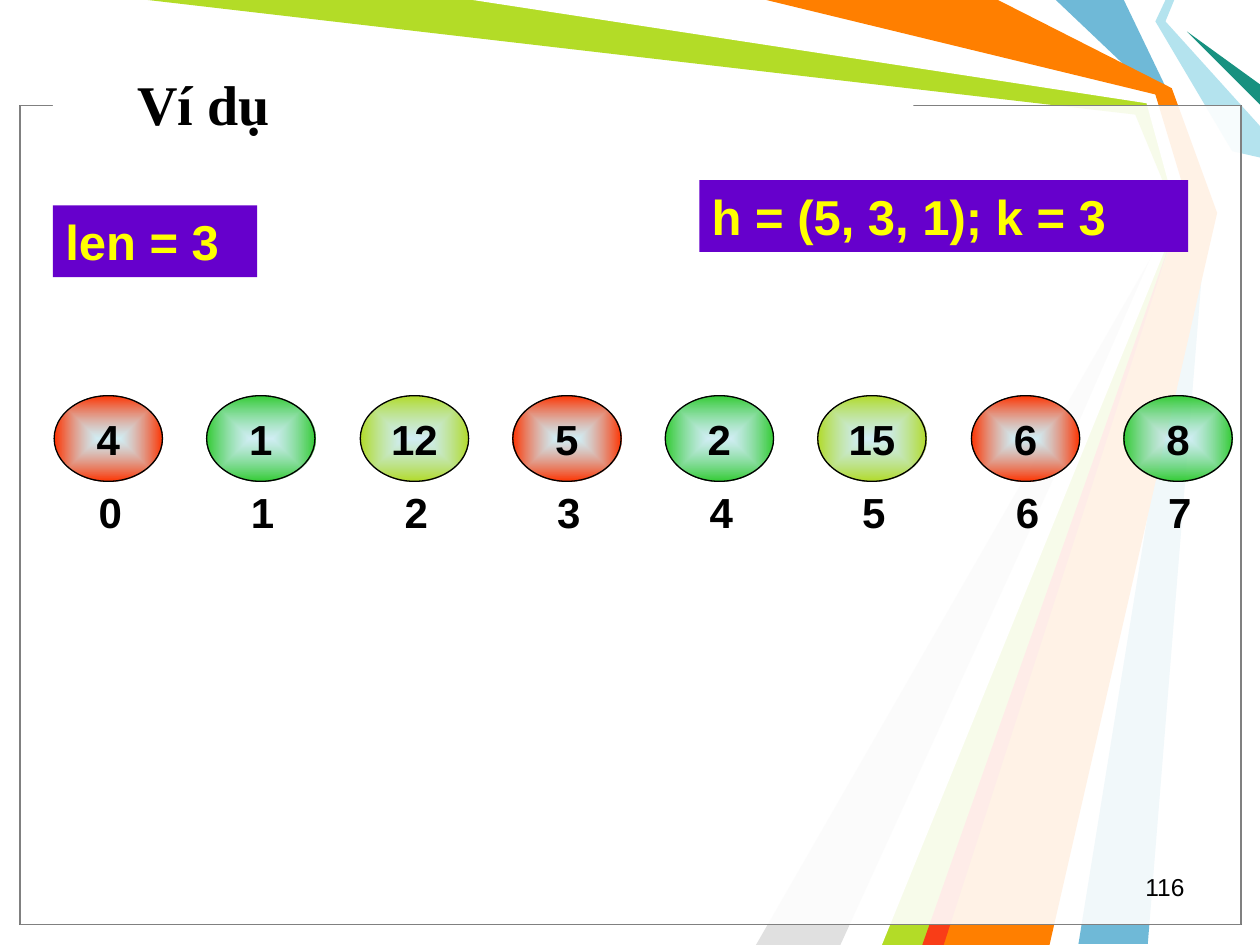
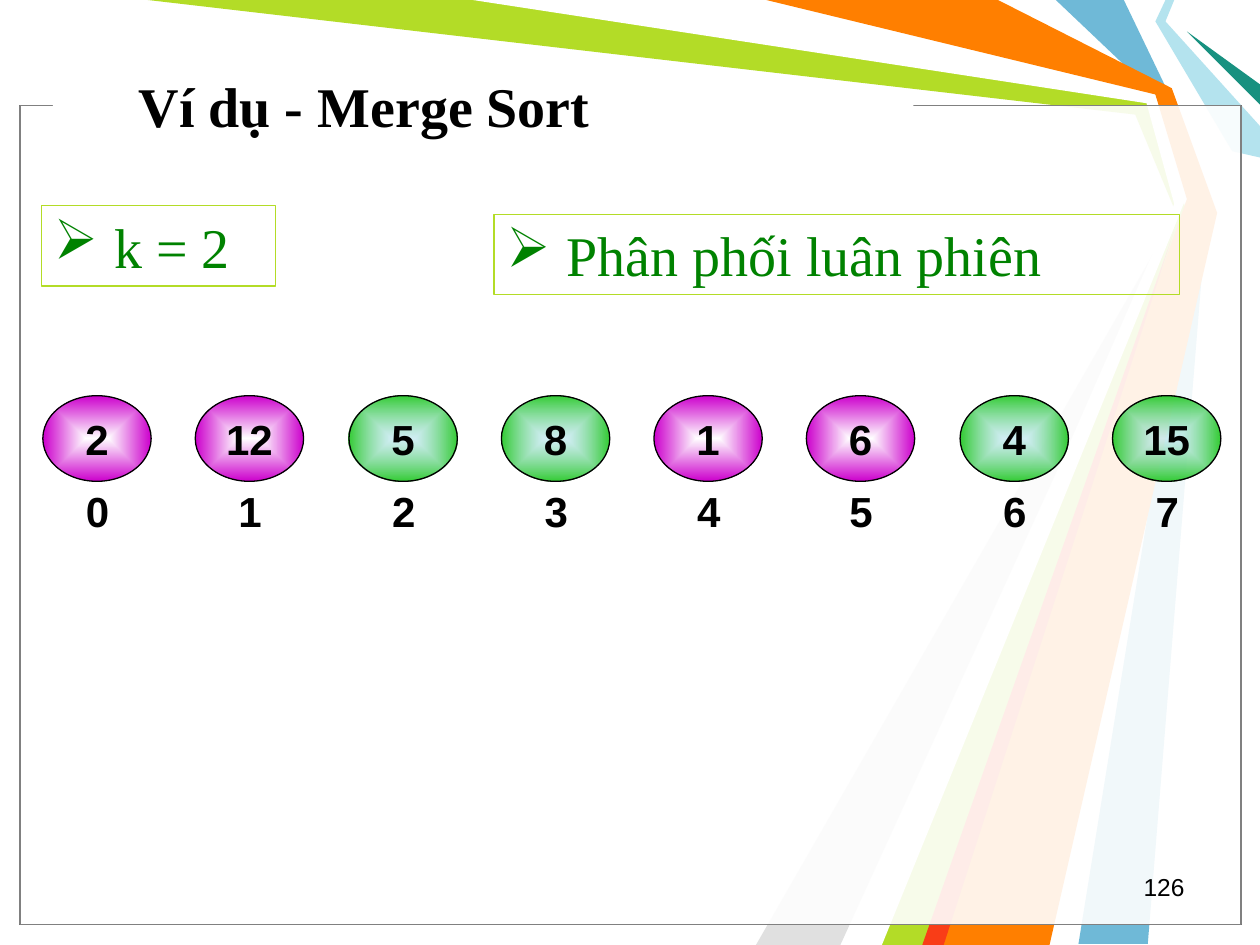
"""Build two sorting example slides over a shared ribbon backdrop."""
from dataclasses import dataclass
from typing import NamedTuple, Optional

from pptx import Presentation
from pptx.dml.color import RGBColor as RGB
from pptx.enum.shapes import MSO_SHAPE as SHAPE
from pptx.enum.text import MSO_ANCHOR as ANCHOR, PP_ALIGN as ALIGN
from pptx.oxml import parse_xml
from pptx.oxml.ns import nsdecls, qn
from pptx.util import Pt

PX = 9144
SLIDE_W, SLIDE_H = 1000, 750
ROW_SPAN = 849
BULLET_INDENT = 48


@dataclass(frozen=True)
class Theme:
    """Colours, fonts and type sizes."""
    white: str = "FFFFFF"
    black: str = "000000"
    grey: str = "808080"
    silver: str = "E0E0E0"
    blue: str = "6FB9D7"
    sky: str = "B4E3EE"
    teal: str = "189180"
    lime: str = "B3DC27"
    orange: str = "FF7F00"
    scarlet: str = "F93D17"
    red: str = "FF3300"
    green: str = "33CC33"
    magenta: str = "CC00CC"
    violet: str = "6600CC"
    yellow: str = "FFFF00"
    note: str = "008200"
    serif: str = "Times New Roman"
    sans: str = "Arial"
    title_pt: int = 32
    badge_pt: int = 28
    item_pt: int = 24
    number_pt: int = 14
    line_pt: float = 0.75


T = Theme()


class Box(NamedTuple):
    """A rectangle in px."""
    x: int
    y: int
    w: int
    h: int

    def emu(self) -> list[int]:
        """Return the four lengths in EMU."""
        return [v * PX for v in self]


class Font(NamedTuple):
    """The look of a run."""
    name: str
    size: int
    color: str
    bold: bool = False


class Ribbon(NamedTuple):
    """A closed coloured outline of the backdrop."""
    color: str
    points: list[tuple[int, int]]


class Glow(NamedTuple):
    """A gradient from a centre colour to a rim colour."""
    center: str
    alpha: int
    rim: str


class Note(NamedTuple):
    """A framed remark above the row."""
    text: str
    box: Box


@dataclass(frozen=True)
class Example:
    """The content of one slide."""
    title: str
    title_box: Box
    number: str
    values: list[int]
    glows: list[Glow]
    row_x: int
    index_x: int
    index_y: int
    notes: list[Note]
    bulleted: bool


TITLE = Font(T.serif, T.title_pt, T.black, True)
ITEM = Font(T.sans, T.item_pt, T.black, True)
BADGE = Font(T.sans, T.badge_pt, T.yellow, True)
BULLET = Font(T.serif, T.title_pt, T.note)
NUMBER = Font(T.sans, T.number_pt, T.black)

RED, GREEN, LIME = (Glow(T.sky, 60, rim) for rim in (T.red, T.green, T.lime))
MAGENTA = Glow(T.white, 100, T.magenta)

RIBBONS = [
    Ribbon(T.blue, [(892, 0), (929, 77), (958, 167), (911, 749), (856, 749),
                    (950, 167), (917, 75), (838, 0)]),
    Ribbon(T.lime, [(117, 0), (383, 0), (914, 78), (942, 169), (742, 750),
                    (692, 750), (935, 173), (901, 91)]),
    Ribbon(T.silver, [(667, 750), (927, 181), (600, 750)]),
    Ribbon(T.white, [(375, 0), (910, 82), (932, 162), (675, 750), (700, 750),
                     (941, 158), (917, 75), (600, 0)]),
    Ribbon(T.sky, [(925, 0), (917, 17), (978, 120), (1000, 125), (1000, 100),
                   (925, 17), (932, 0)]),
    Ribbon(T.teal, [(1000, 83), (942, 25), (1000, 67)]),
    Ribbon(T.orange, [(608, 0), (792, 0), (930, 70), (966, 169), (833, 750),
                      (733, 750), (942, 158), (917, 75)]),
    Ribbon(T.scarlet, [(732, 750), (932, 183), (749, 750)]),
]
PANEL = Box(16, 84, 969, 650)
TITLE_GAP = Box(42, 74, 683, 17)
NUMBER_BOX = Box(717, 687, 233, 33)

EXAMPLES = [
    Example("Ví dụ", Box(99, 47, 689, 70), "116",
            [4, 1, 12, 5, 2, 15, 6, 8],
            [RED, GREEN, LIME, RED, GREEN, LIME, RED, GREEN],
            43, 44, 373,
            [Note("h = (5, 3, 1); k = 3", Box(555, 143, 388, 57)),
             Note("len = 3", Box(42, 163, 162, 57))], False),
    Example("Ví dụ - Merge Sort", Box(100, 42, 689, 83), "126",
            [2, 12, 5, 8, 1, 6, 4, 15],
            [MAGENTA, MAGENTA, GREEN, GREEN] * 2,
            34, 34, 372,
            [Note("k = 2", Box(33, 163, 186, 64)),
             Note("Phân phối luân phiên", Box(392, 170, 544, 64))], True),
]


def write(sp, text: str, font: Font, align=ALIGN.LEFT, anchor=ANCHOR.MIDDLE,
          wrap: bool = True):
    """Write one formatted run and return its paragraph."""
    tf = sp.text_frame
    tf.word_wrap = wrap
    tf.vertical_anchor = anchor
    p = tf.paragraphs[0]
    p.alignment = align
    r = p.add_run()
    r.text = text
    r.font.name, r.font.size, r.font.bold = font.name, Pt(font.size), font.bold
    r.font.color.rgb = RGB.from_string(font.color)
    return p


def paint(sp, fill: Optional[str] = None, line: Optional[str] = None) -> None:
    """Set a plain fill and outline, without shadow."""
    sp.shadow.inherit = False
    if fill:
        sp.fill.solid()
        sp.fill.fore_color.rgb = RGB.from_string(fill)
    else:
        sp.fill.background()
    if line:
        sp.line.color.rgb = RGB.from_string(line)
        sp.line.width = Pt(T.line_pt)
    else:
        sp.line.fill.background()


def add_preset(s, kind, box: Box, fill: Optional[str] = None,
               line: Optional[str] = None):
    """Add a painted preset shape."""
    sp = s.shapes.add_shape(kind, *box.emu())
    paint(sp, fill, line)
    return sp


def set_glow(sp, glow: Glow) -> None:
    """Replace the empty fill of a shape with a centred gradient."""
    grad = parse_xml(
        f'<a:gradFill {nsdecls("a")} rotWithShape="1"><a:gsLst>'
        f'<a:gs pos="0"><a:srgbClr val="{glow.center}">'
        f'<a:alpha val="{glow.alpha * 1000}"/></a:srgbClr></a:gs>'
        f'<a:gs pos="100000"><a:srgbClr val="{glow.rim}"/></a:gs></a:gsLst>'
        '<a:path path="shape"><a:fillToRect l="50000" t="50000" r="50000"'
        ' b="50000"/></a:path></a:gradFill>')
    spPr = sp._element.spPr
    spPr.replace(spPr.find(qn("a:noFill")), grad)


def set_bullet(p) -> None:
    """Give a paragraph a hanging arrow bullet."""
    pPr = p._p.get_or_add_pPr()
    pPr.set("marL", str(BULLET_INDENT * PX))
    pPr.set("indent", str(-BULLET_INDENT * PX))
    pPr.append(parse_xml(f'<a:buChar {nsdecls("a")} char="➢"/>'))


def add_ribbon(s, ribbon: Ribbon) -> None:
    """Add one closed outline."""
    start, *rest = ribbon.points
    builder = s.shapes.build_freeform(*start, scale=PX)
    builder.add_line_segments(rest, close=True)
    paint(builder.convert_to_shape(), ribbon.color)


def add_panel(s, line: str) -> None:
    """Add a translucent white panel."""
    sp = add_preset(s, SHAPE.RECTANGLE, PANEL, T.white, line)
    color = sp._element.spPr.find(qn("a:solidFill"))[0]
    color.append(parse_xml(f'<a:alpha {nsdecls("a")} val="69000"/>'))


def move_backdrop(s, layout) -> None:
    """Draw the backdrop and hand it to the layout shared by all slides."""
    for ph in list(layout.placeholders)[1:]:
        ph._element.getparent().remove(ph._element)
    for ribbon in RIBBONS:
        add_ribbon(s, ribbon)
    for line in (T.black, T.grey):
        add_panel(s, line)
    add_preset(s, SHAPE.RECTANGLE, TITLE_GAP, T.white)
    for sp in list(s.shapes)[1:]:
        layout.shapes._spTree.append(sp._element)


def add_row(s, ex: Example) -> None:
    """Add the value ovals and the indices below them."""
    for i, (value, glow) in enumerate(zip(ex.values, ex.glows)):
        step = round(i * ROW_SPAN / (len(ex.values) - 1))
        oval = add_preset(s, SHAPE.OVAL, Box(ex.row_x + step, 314, 86, 68),
                          line=T.black)
        set_glow(oval, glow)
        index = add_preset(s, SHAPE.OVAL,
                           Box(ex.index_x + step, ex.index_y, 87, 66))
        for sp, text in ((oval, value), (index, i)):
            write(sp, str(text), ITEM, ALIGN.CENTER, wrap=False)


def add_note(s, note: Note, bulleted: bool) -> None:
    """Add a filled badge or a framed bullet."""
    if bulleted:
        sp = add_preset(s, SHAPE.RECTANGLE, note.box, line=T.lime)
        set_bullet(write(sp, note.text, BULLET))
    else:
        sp = add_preset(s, SHAPE.RECTANGLE, note.box, T.violet)
        write(sp, note.text, BADGE)


def fill_slide(s, ex: Example) -> None:
    """Fill a slide with one example."""
    title = s.shapes.title
    title.left, title.top, title.width, title.height = ex.title_box.emu()
    write(title, ex.title, TITLE)
    number = s.shapes.add_textbox(*NUMBER_BOX.emu())
    write(number, ex.number, NUMBER, ALIGN.RIGHT, ANCHOR.TOP)
    add_row(s, ex)
    for note in ex.notes:
        add_note(s, note, ex.bulleted)


def main() -> None:
    """Build and save the presentation."""
    prs = Presentation()
    prs.slide_width, prs.slide_height = SLIDE_W * PX, SLIDE_H * PX
    layout = prs.slide_layouts[5]
    slides = [prs.slides.add_slide(layout) for _ in EXAMPLES]
    move_backdrop(slides[0], layout)
    for s, ex in zip(slides, EXAMPLES):
        fill_slide(s, ex)
    prs.save("out.pptx")


if __name__ == "__main__":
    main()
